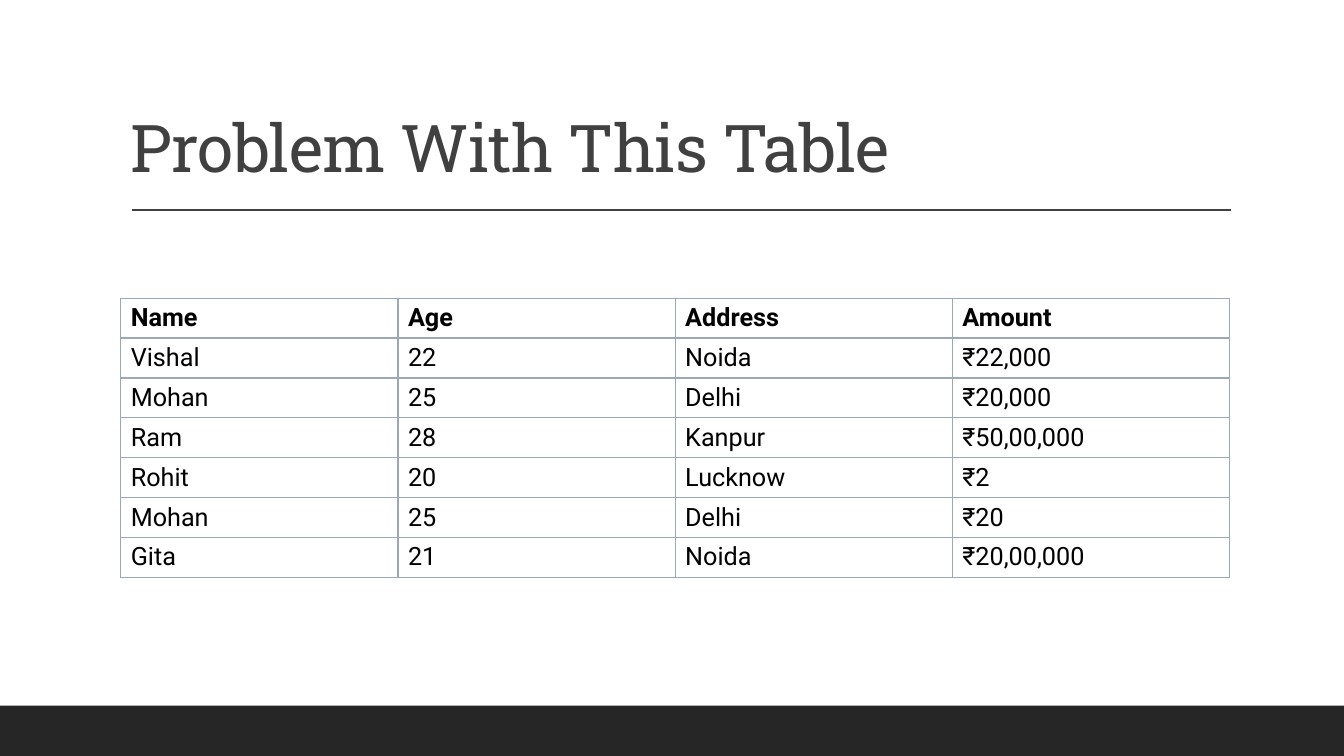
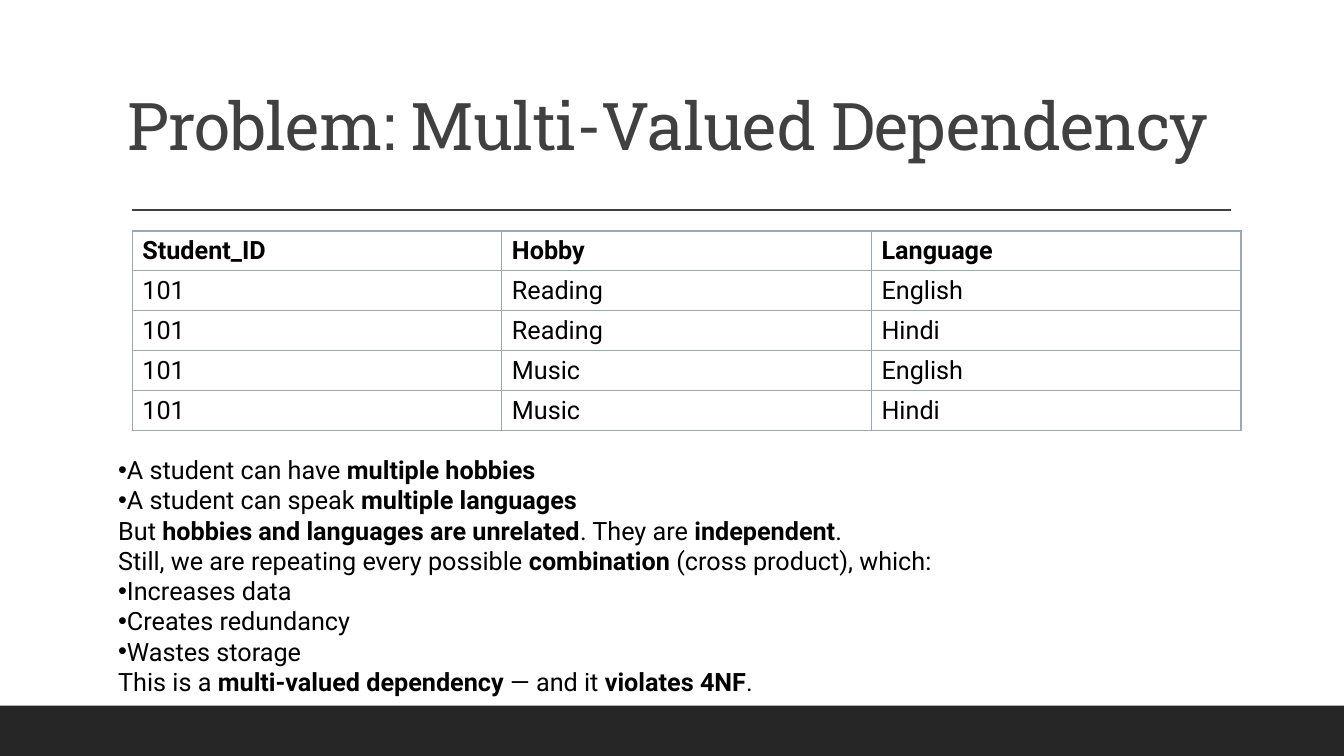
from lxml import etree
from pptx import Presentation, util as u
from pptx.dml.color import RGBColor
from pptx.enum import shapes as sh, text as tx
from pptx.oxml.ns import qn

PX = 9525
WIDE, HIGH = 1280, 720
DARK, GREY, EDGE, BLACK = "262626", "404040", "9BA8B7", "000000"
HEAD, TEXT = "Roboto Slab", "Roboto"
TITLE_W, TITLE_H = 1056, 153
TABLE_W, ROW_H = 1056, 38
BAND_Y, RULE_Y = 672, 200
RULE_X = (126, 1172)

# In the notes, ** switches bold on and off; a leading • makes a bullet.
SLIDES = [
    {
        "layout": "Title Only",
        "title": ("Problem With This Table", (115, 30)),
        "at": (115, 284),
        "rows": [
            ("Name", "Age", "Address", "Amount"),
            ("Vishal", "22", "Noida", "₹22,000"),
            ("Mohan", "25", "Delhi", "₹20,000"),
            ("Ram", "28", "Kanpur", "₹50,00,000"),
            ("Rohit", "20", "Lucknow", "₹2"),
            ("Mohan", "25", "Delhi", "₹20"),
            ("Gita", "21", "Noida", "₹20,00,000"),
        ],
    },
    {
        "layout": "Title and Content",
        "title": ("Problem: Multi-Valued Dependency", (112, 9)),
        "at": (126, 220),
        "rows": [
            ("Student_ID", "Hobby", "Language"),
            ("101", "Reading", "English"),
            ("101", "Reading", "Hindi"),
            ("101", "Music", "English"),
            ("101", "Music", "Hindi"),
        ],
        "box": (103, 428, 1065, 242),
        "notes": [
            "•A student can have **multiple hobbies**",
            "•A student can speak **multiple languages**",
            "But **hobbies and languages are unrelated**. They are **independent**.",
            "Still, we are repeating every possible **combination** (cross product), which:",
            "•Increases data",
            "•Creates redundancy",
            "•Wastes storage",
            "This is a **multi-valued dependency** — and it **violates 4NF**.",
        ],
    },
]


def px(*nums):
    return [u.Emu(round(n * PX)) for n in nums]


def rgb(code):
    return RGBColor.from_string(code)


def place(shape, *box):
    shape.left, shape.top, shape.width, shape.height = px(*box)


def say(para, words, size=18, font=TEXT, color=BLACK, bold=False, track=None):
    """Add words to a paragraph; ** flips bold."""
    for i, part in enumerate(words.split("**")):
        if not part:
            continue
        run = para.add_run()
        run.text = part
        run.font.size, run.font.name = u.Pt(size), font
        run.font.color.rgb = rgb(color)
        run.font.bold = bold != bool(i % 2)
        if track is not None:
            run.font.element.set("spc", str(track)) if hasattr(run.font, "element") \
                else run._r.get_or_add_rPr().set("spc", str(track))


def head(slide, words, spot):
    place(slide.shapes.title, *spot, TITLE_W, TITLE_H)
    frame = slide.shapes.title.text_frame
    frame.auto_size = tx.MSO_AUTO_SIZE.NONE
    frame.vertical_anchor = tx.MSO_ANCHOR.BOTTOM
    para = frame.paragraphs[0]
    para.alignment, para.line_spacing = tx.PP_ALIGN.LEFT, 0.9
    say(para, words, size=47, font=HEAD, color=GREY, track=-50)


def edge(cell):
    """Draw a thin line on all four sides of a cell."""
    props = cell._tc.get_or_add_tcPr()
    for side in ("lnL", "lnR", "lnT", "lnB"):
        line = etree.SubElement(props, qn("a:" + side), w=str(u.Pt(1)))
        fill = etree.SubElement(line, qn("a:solidFill"))
        etree.SubElement(fill, qn("a:srgbClr"), val=EDGE)


def grid(slide, rows, spot):
    cols = len(rows[0])
    size = (TABLE_W, ROW_H * len(rows))
    table = slide.shapes.add_table(len(rows), cols, *px(*spot, *size)).table
    table.first_row = table.horz_banding = False
    for r, row in enumerate(rows):
        for c, words in enumerate(row):
            cell = table.cell(r, c)
            edge(cell)
            cell.fill.background()
            cell.vertical_anchor = tx.MSO_ANCHOR.MIDDLE
            say(cell.text_frame.paragraphs[0], words, bold=r == 0)


def notes(slide, lines, box):
    body = slide.placeholders[1]
    place(body, *box)
    frame = body.text_frame
    frame.auto_size = tx.MSO_AUTO_SIZE.NONE
    for i, line in enumerate(lines):
        para = frame.add_paragraph() if i else frame.paragraphs[0]
        para.space_before = u.Pt(0)
        props = para._p.get_or_add_pPr()
        props.set("marL", "0")
        props.set("indent", "0")
        if line.startswith("•"):
            etree.SubElement(props, qn("a:buChar"), char="•")
        else:
            etree.SubElement(props, qn("a:buNone"))
        say(para, line.lstrip("•"))


def trim(deck):
    """Keep only the layouts in use, without date, footer and number."""
    used = {item["layout"] for item in SLIDES}
    for lay in list(deck.slide_layouts):
        if lay.name not in used:
            deck.slide_layouts.remove(lay)
    kinds = sh.PP_PLACEHOLDER
    small = (kinds.DATE, kinds.FOOTER, kinds.SLIDE_NUMBER)
    for base in (deck.slide_master, *deck.slide_layouts):
        for ph in list(base.placeholders):
            if ph.placeholder_format.type in small:
                ph.element.getparent().remove(ph.element)


def frame_up(slide, master):
    """Draw the band and the rule, then hand them to the master."""
    band = slide.shapes.add_shape(
        sh.MSO_SHAPE.RECTANGLE, *px(0, BAND_Y, WIDE, HIGH - BAND_Y))
    band.shadow.inherit = False
    band.fill.solid()
    band.fill.fore_color.rgb = rgb(DARK)
    band.line.fill.background()
    left, right = RULE_X
    rule = slide.shapes.add_connector(
        sh.MSO_CONNECTOR.STRAIGHT, *px(left, RULE_Y, right, RULE_Y))
    rule.line.color.rgb, rule.line.width = rgb(GREY), u.Pt(1)
    etree.SubElement(rule.element.spPr, qn("a:effectLst"))
    for shape in (band, rule):
        master.shapes.element.append(shape.element)


def main():
    deck = Presentation()
    deck.slide_width, deck.slide_height = px(WIDE, HIGH)
    trim(deck)
    for item in SLIDES:
        slide = deck.slides.add_slide(deck.slide_layouts.get_by_name(item["layout"]))
        if "notes" in item:
            frame_up(slide, deck.slide_master)
            notes(slide, item["notes"], item["box"])
        head(slide, *item["title"])
        grid(slide, item["rows"], item["at"])
    deck.save("out.pptx")


if __name__ == "__main__":
    main()
